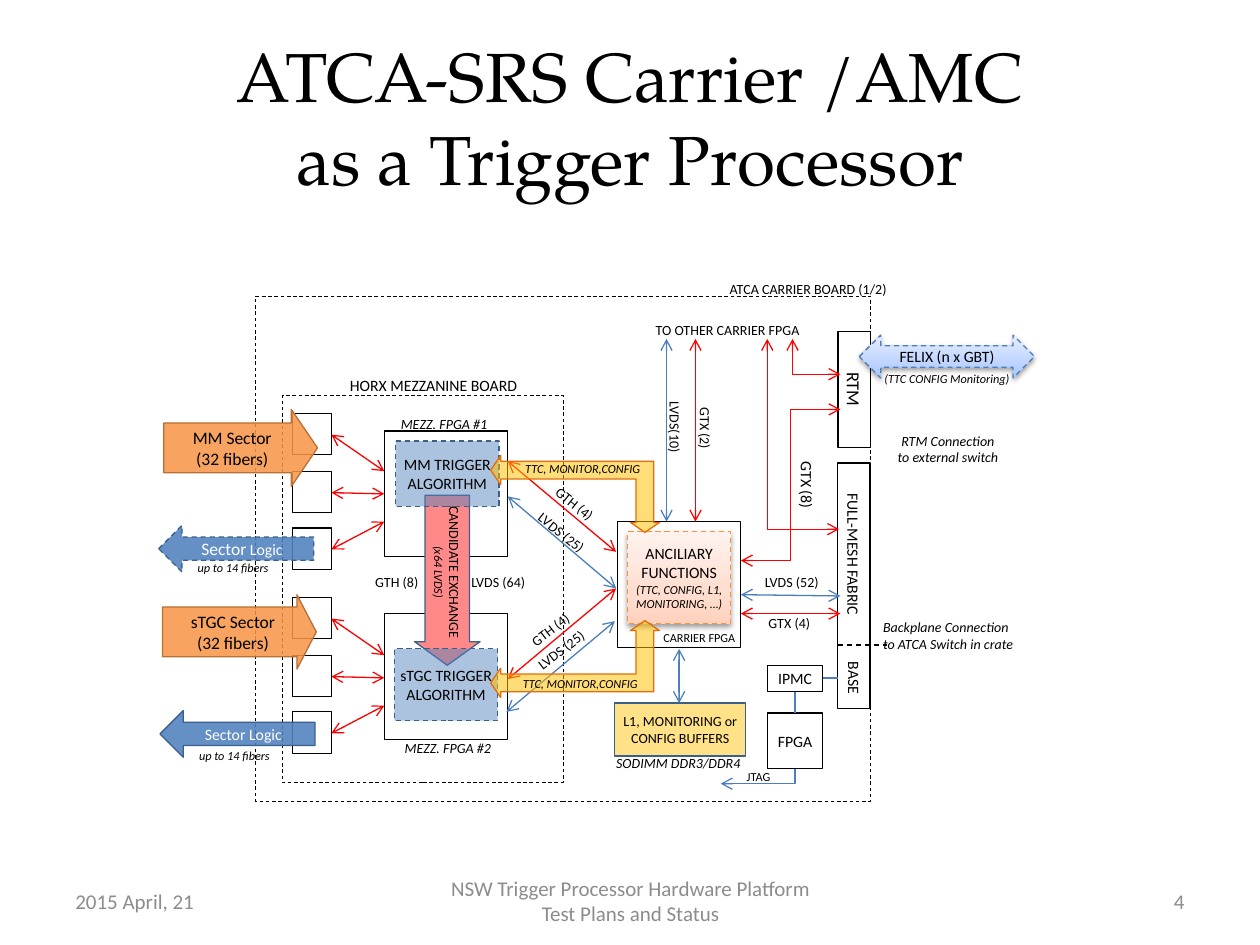
from lxml import etree
from pptx import Presentation
from pptx.dml.color import RGBColor
from pptx.enum.dml import MSO_LINE
from pptx.enum.shapes import MSO_CONNECTOR, MSO_SHAPE
from pptx.enum.text import MSO_ANCHOR, PP_ALIGN
from pptx.oxml.ns import qn
from pptx.util import Inches, Pt

LEFT, CENTER, RIGHT = PP_ALIGN.LEFT, PP_ALIGN.CENTER, PP_ALIGN.RIGHT
MIDDLE, TOP = MSO_ANCHOR.MIDDLE, MSO_ANCHOR.TOP
RECT, RIGHT_ARROW, LEFT_ARROW = MSO_SHAPE.RECTANGLE, MSO_SHAPE.RIGHT_ARROW, MSO_SHAPE.LEFT_ARROW
DOWN_ARROW, BOTH_ARROW = MSO_SHAPE.DOWN_ARROW, MSO_SHAPE.LEFT_RIGHT_ARROW
CORNER_ARROW = MSO_SHAPE.LEFT_UP_ARROW
DASH = MSO_LINE.DASH
STRAIGHT, ELBOW = MSO_CONNECTOR.STRAIGHT, MSO_CONNECTOR.ELBOW
COLORS = {
    "black": "000000", "white": "FFFFFF", "gray": "8C8C8C", "red": "FF0000",
    "link": "4B7EBC", "blue": "4F81BD", "navy": "3A5F8C", "orange": "F79646",
    "brown": "B76F34", "pink": "FF8989", "gold": "FFC000", "rust": "E46C0A",
    "peach": "F69240",
}
SKY_STOPS = ((0, "A4C4FF"), (35, "BFD4FF"), (100, "E6EEFF"))
PEACH_STOPS = ((0, "FFD2BD"), (35, "FFDED0"), (100, "FFF2ED"))


class Diagram:
    """Draws the styled parts of a block diagram on one slide."""

    def __init__(self, slide):
        self.shapes = slide.shapes

    def color(self, name):
        return RGBColor.from_string(COLORS[name])

    def format_run(self, run, size, color="black", italic=False, font="Calibri"):
        run.font.size, run.font.name, run.font.italic = Pt(size), font, italic
        run.font.color.rgb = self.color(color)

    def caption(self, shape, text, size, color="black", italic=False, align=CENTER,
                anchor=MIDDLE, inset=0.1, wrap=True, font="Calibri", note=None):
        frame = shape.text_frame
        frame.text = text
        frame.word_wrap, frame.vertical_anchor = wrap, anchor
        frame.margin_left = frame.margin_right = Inches(inset)
        frame.margin_top = frame.margin_bottom = Inches(0.05)
        if note:
            frame.add_paragraph().text = note
        for paragraph in frame.paragraphs:
            paragraph.alignment = align
            for run in paragraph.runs:
                self.format_run(run, size, color, italic, font)
        if note:
            self.format_run(frame.paragraphs[-1].runs[0], 7, color, True)

    def label(self, at, text, size=8, rotation=0, wrap=False, anchor=TOP, **style):
        box = self.shapes.add_textbox(*map(Inches, at))
        box.rotation = rotation
        self.caption(box, text, size, wrap=wrap, anchor=anchor, **style)

    def block(self, at, kind=RECT, fill="white", line="black", width=0.75, dash=None,
              alpha=None, adjust=(), rotation=0, stops=None):
        shape = self.shapes.add_shape(kind, *map(Inches, at))
        shape.rotation = rotation
        shape.shadow.inherit = False
        for index, value in enumerate(adjust):
            shape.adjustments[index] = value
        shape.line.color.rgb = self.color(line)
        shape.line.width = Pt(width)
        shape.line.dash_style = dash
        if stops:
            self.shade(shape, stops)
        elif fill:
            shape.fill.solid()
            shape.fill.fore_color.rgb = self.color(fill)
        else:
            shape.fill.background()
        if alpha:
            solid = shape._element.spPr.find(qn("a:solidFill"))
            etree.SubElement(solid[0], qn("a:alpha"), val=str(alpha * 1000))
        return shape

    def shade(self, shape, stops):
        shape.fill.gradient()
        shape.fill.gradient_angle = 90
        properties = shape._element.spPr
        stop_list = properties.find(qn("a:gradFill")).find(qn("a:gsLst"))
        for old in list(stop_list):
            stop_list.remove(old)
        for position, value in stops:
            stop = etree.SubElement(stop_list, qn("a:gs"), pos=str(position * 1000))
            etree.SubElement(stop, qn("a:srgbClr"), val=value)
        shadow = etree.SubElement(properties.find(qn("a:effectLst")), qn("a:outerShdw"),
                                  blurRad="40000", dist="20000", dir="5400000", rotWithShape="0")
        tone = etree.SubElement(shadow, qn("a:srgbClr"), val=COLORS["black"])
        etree.SubElement(tone, qn("a:alpha"), val="38000")

    def link(self, x1, y1, x2, y2, color="red", ends=("headEnd", "tailEnd"),
             kind=STRAIGHT, corner=False, dash=None):
        line = self.shapes.add_connector(kind, *map(Inches, (x1, y1, x2, y2)))
        line.line.color.rgb = self.color(color)
        line.line.width = Pt(0.75)
        line.line.dash_style = dash
        properties = line._element.spPr
        if corner:
            properties.find(qn("a:prstGeom")).set("prst", "bentConnector2")
        for end in ends:
            etree.SubElement(properties.find(qn("a:ln")), qn(f"a:{end}"), type="arrow")
        etree.SubElement(properties, qn("a:effectLst"))


presentation = Presentation()
presentation.slide_width, presentation.slide_height = Inches(10), Inches(7.5)
d = Diagram(presentation.slides.add_slide(presentation.slide_layouts[6]))

d.label((0.5, 0.3, 9, 1.25), "ATCA-SRS Carrier /AMC\vas a Trigger Processor", 39.6,
        wrap=True, anchor=MIDDLE, font="TeX Gyre Pagella")
for left, width, text, align in (
        (0.5, 2.33, "2015 April, 21", LEFT),
        (3.42, 3.17, "NSW Trigger Processor Hardware Platform Test Plans and Status", CENTER),
        (7.17, 2.33, "4", RIGHT)):
    d.label((left, 6.95, width, 0.4), text, 12, wrap=True, anchor=MIDDLE,
            color="gray", align=align)

d.block((2.03, 2.35, 4.88, 4.01), width=0.5, dash=DASH)
for left, top in ((3.05, 3.42), (3.05, 4.87), (4.9, 4.14)):
    d.block((left, top, 0.98, 1))
for top in (3.28, 4.74):
    for offset, start, end in ((0, 0.17, 0.46), (0.46, 0.63, 0.64), (0.91, 1.08, 0.86)):
        d.block((2.32, top + offset, 0.31, 0.33))
        d.link(2.63, top + start, 3.05, top + end)
d.block((2.24, 3.14, 2.23, 3.07), fill=None, width=0.5, dash=DASH)

d.block((5.8, 4.52, 1.95, 0.26), rotation=90)
rtm = d.block((6.32, 2.96, 0.92, 0.26), rotation=90)
d.caption(rtm, "RTM", 10.5, inset=0.04)
for top, height, text in ((5.28, 0.21, "IPMC"), (5.66, 0.44, "FPGA")):
    d.caption(d.block((6.09, top, 0.44, height)), text, 9, inset=0)
for at, text in (((6.54, 5.25, 0.48, 0.26), "BASE"),
                 ((6.05, 4.27, 1.45, 0.26), "FULL-MESH FABRIC")):
    d.label(at, text, 9, 90, wrap=True, anchor=MIDDLE, inset=0)

for ends in ((5.52, 2.69, 5.52, 4.14), (5.88, 4.87, 6.67, 4.87), (4.03, 5.39, 4.89, 4.67),
             (4.03, 3.66, 4.89, 4.38), (3.45, 4.42, 3.45, 4.86)):
    d.link(*ends)
for ends in ((5.29, 2.69, 5.29, 4.14), (5.39, 5.58, 5.39, 5.15), (5.88, 4.72, 6.67, 4.73),
             (4.03, 3.94, 4.89, 4.67), (4.02, 5.65, 4.88, 4.93), (3.67, 4.42, 3.67, 4.86)):
    d.link(*ends, color="link")
for ends in ((6.53, 5.38, 6.65, 5.38), (6.31, 5.49, 6.31, 5.66)):
    d.link(*ends, color="link", ends=())
d.link(6.65, 5.12, 7.04, 5.12, "black", (), dash=DASH)
d.link(5.88, 4.45, 6.67, 3.25, kind=ELBOW)
d.link(6.67, 2.97, 6.29, 2.69, kind=ELBOW, corner=True)
d.link(6.66, 4.2, 6.09, 2.69, kind=ELBOW, corner=True)
d.link(5.72, 6.22, 6.31, 6.1, "link", ("headEnd",), ELBOW, corner=True)

for left, top, width, text, size, rotation in (
        (2.67, 2.93, 1.54, "HORX MEZZANINE BOARD", 9, 0),
        (6, 4.83, 0.53, "GTX (4)", 8, 0),
        (5.97, 4.5, 0.63, "LVDS (52)", 8, 0),
        (5.82, 6.06, 0.4, "JTAG", 7, 0),
        (6.12, 3.73, 0.58, "GTX (8)", 9, 90),
        (5.05, 3.27, 0.61, "LVDS(10)", 8, 90),
        (5.33, 3.28, 0.53, "GTX (2)", 8, 90),
        (4.14, 5.04, 0.63, "LVDS (25)", 8, 322.5),
        (4.1, 4.88, 0.54, "GTH (4)", 8, 322.5),
        (4.14, 4.11, 0.63, "LVDS (25)", 8, 38.7),
        (4.29, 3.88, 0.54, "GTH (4)", 8, 38.7),
        (2.88, 4.5, 0.54, "GTH (8)", 8, 0),
        (3.64, 4.5, 0.63, "LVDS (64)", 8, 0),
        (5.1, 2.5, 1.35, "TO OTHER CARRIER FPGA", 8, 0),
        (5.67, 2.18, 1.49, "ATCA CARRIER BOARD (1/2)", 8, 0)):
    d.label((left, top, width, 0.24), text, size, rotation)

for at, text, adjust in (((1.3, 3.25, 1.22, 0.61), "MM Sector", (0.65, 0.34)),
                         ((1.29, 4.72, 1.22, 0.59), "sTGC Sector", (0.67, 0.26))):
    sector = d.block(at, RIGHT_ARROW, "orange", "brown", alpha=86, adjust=adjust)
    d.caption(sector, f"{text}\n(32 fibers)", 10)
for left, top, text, size, dash in ((1.27, 5.64, "Sector Logic", 9, None),
                                    (1.26, 4.17, "Sector", 10, DASH)):
    logic = d.block((left, top, 1.23, 0.37), LEFT_ARROW, "blue", "navy", dash=dash, alpha=88)
    d.caption(logic, text, size, "white", inset=0)
logic_run = logic.text_frame.paragraphs[0].add_run()
logic_run.text = " Logic"
d.format_run(logic_run, 9, "white")

exchange = d.block((3.29, 3.93, 0.52, 1.35), DOWN_ARROW, "pink", "navy", adjust=(0.68, 0.36))
d.caption(exchange, "CANDIDATE EXCHANGE", 8, inset=0, note="(x64 LVDS)")
exchange.text_frame.margin_top = exchange.text_frame.margin_bottom = 0
exchange.text_frame._txBody.bodyPr.set("vert", "vert")
for at, text in (((3.14, 3.5, 0.82, 0.52), "MM TRIGGER ALGORITHM"),
                 ((3.13, 5.15, 0.82, 0.57), "sTGC TRIGGER ALGORITHM")):
    d.caption(d.block(at, fill="blue", line="navy", dash=DASH, alpha=47), text, 9, inset=0)

felix = d.block((6.82, 2.66, 1.39, 0.34), BOTH_ARROW, line="link", dash=DASH, stops=SKY_STOPS)
d.caption(felix, "FELIX (n x GBT)", 9)
anciliary = d.block((4.98, 4.22, 0.82, 0.73), line="peach", dash=DASH, stops=PEACH_STOPS)
d.caption(anciliary, "ANCILIARY FUNCTIONS", 9, inset=0, note="(TTC, CONFIG, L1, MONITORING, …)")
buffers = d.block((4.88, 5.58, 1.04, 0.42), fill="gold", line="navy", alpha=47)
d.caption(buffers, "L1, MONITORING or CONFIG BUFFERS", 8, inset=0)

for top, rotation in ((3.25, 270), (4.56, 90)):
    config = d.block((4.26, top, 0.61, 1.34), CORNER_ARROW, "gold", "rust", alpha=53,
                     adjust=(0.23, 0.19, 0.13), rotation=rotation)
config._element.spPr.find(qn("a:xfrm")).set("flipV", "1")

for left, top, width, text, size in (
        (3.08, 3.25, 0.89, "MEZZ. FPGA #1", 8), (3.11, 5.82, 0.89, "MEZZ. FPGA #2", 8),
        (6.91, 2.9, 1.21, "(TTC CONFIG Monitoring)", 7),
        (1.46, 4.4, 0.78, "up to 14 fibers", 7), (1.47, 5.89, 0.78, "up to 14 fibers", 7),
        (4.06, 3.61, 1.13, "TTC, MONITOR,CONFIG", 7),
        (4.04, 5.32, 1.13, "TTC, MONITOR,CONFIG", 7),
        (4.77, 5.94, 1.23, "SODIMM DDR3/DDR4", 8)):
    d.label((left, top, width, 0.22 if size == 7 else 0.24), text, size, italic=True)
d.label((5.16, 4.95, 0.78, 0.22), "CARRIER FPGA", 7)
d.label((7.01, 3.38, 1.03, 0.37), "RTM Connection to external switch", wrap=True, italic=True)
d.label((6.91, 4.86, 1.29, 0.37), "Backplane Connection to ATCA Switch in crate",
        wrap=True, italic=True, align=LEFT)

presentation.save("out.pptx")
